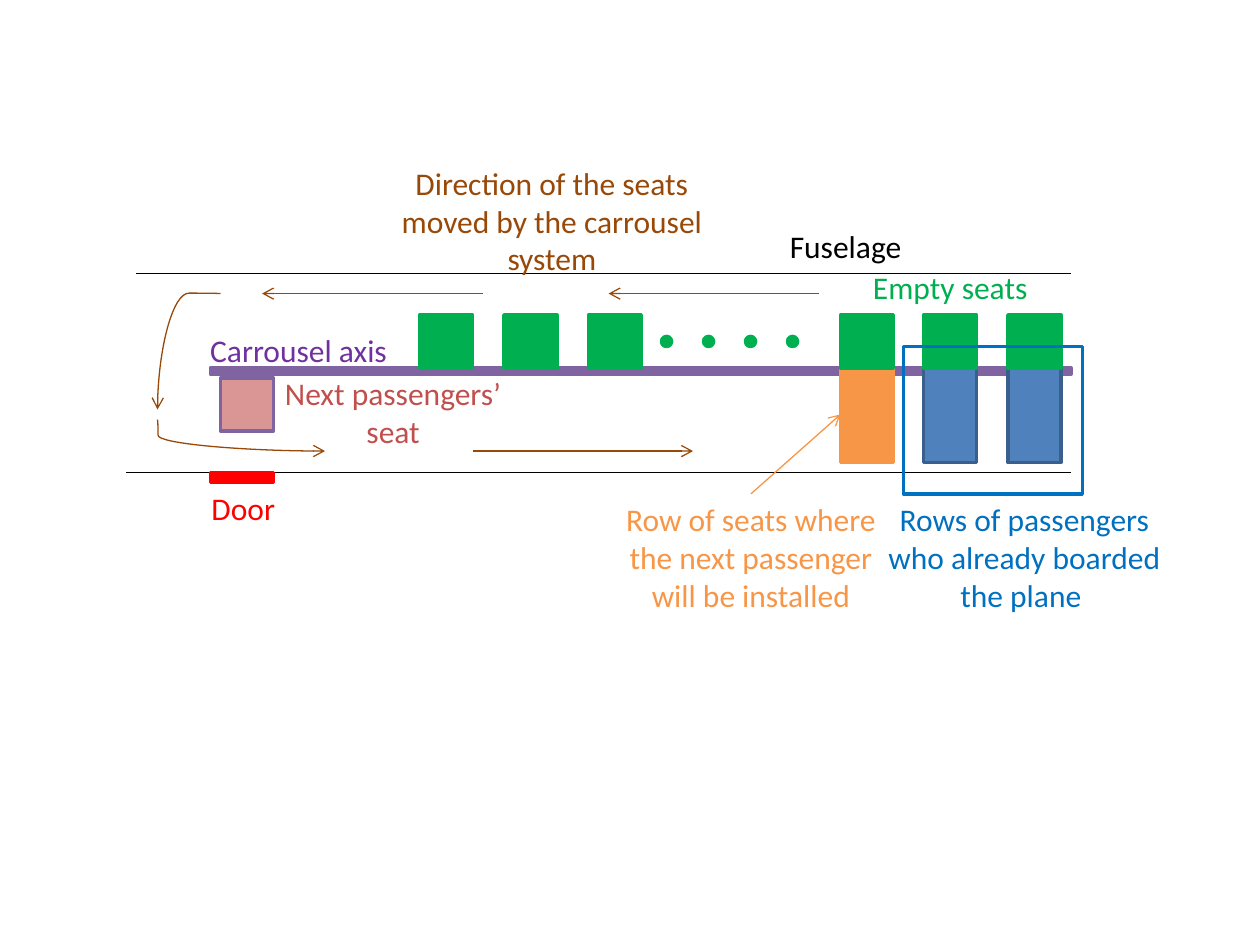
from typing import NamedTuple, Optional

from lxml import etree
from pptx import Presentation
from pptx.dml.color import RGBColor
from pptx.enum.shapes import MSO_CONNECTOR, MSO_SHAPE
from pptx.enum.text import MSO_AUTO_SIZE, PP_ALIGN
from pptx.oxml.ns import qn
from pptx.util import Inches, Pt

RECTANGLE, OVAL = MSO_SHAPE.RECTANGLE, MSO_SHAPE.OVAL
STRAIGHT, CURVE = MSO_CONNECTOR.STRAIGHT, MSO_CONNECTOR.CURVE
LEFT, CENTER = PP_ALIGN.LEFT, PP_ALIGN.CENTER
FIT_TEXT = MSO_AUTO_SIZE.SHAPE_TO_FIT_TEXT

BLACK = RGBColor(0x00, 0x00, 0x00)
PURPLE = RGBColor(0x80, 0x64, 0xA2)
VIOLET = RGBColor(0x70, 0x30, 0xA0)
ORANGE = RGBColor(0xF7, 0x96, 0x46)
BLUE = RGBColor(0x00, 0x70, 0xC0)
SEAT_BLUE = RGBColor(0x4F, 0x81, 0xBD)
SEAT_EDGE = RGBColor(0x3A, 0x5F, 0x8C)
BROWN = RGBColor(0x98, 0x48, 0x07)
RED = RGBColor(0xFF, 0x00, 0x00)
PINK = RGBColor(0xD9, 0x96, 0x94)
BRICK = RGBColor(0xC0, 0x50, 0x4D)
GREEN = RGBColor(0x00, 0xB0, 0x50)

SEAT = 0.42
SEAT_TOP, AXIS_TOP = 2.5, 2.92
ROW_HEIGHT = 0.75
DOT = 0.08
FRONT_SEATS = [3.33, 4, 4.67]
REAR_SEATS = [6.67, 7.33, 8]


class Block(NamedTuple):
    left: float
    top: float
    width: float
    height: float
    fill: Optional[RGBColor]
    line: RGBColor
    kind: MSO_SHAPE = RECTANGLE


class Label(NamedTuple):
    text: str
    left: float
    top: float
    width: float
    height: float
    color: RGBColor
    align: PP_ALIGN = CENTER


class Line(NamedTuple):
    x1: float
    y1: float
    x2: float
    y2: float
    color: RGBColor
    arrow: bool = True
    kind: MSO_CONNECTOR = STRAIGHT
    bend: int = 0  # position of the bend, in 1/100000 of the width
    turn: int = 0  # clockwise rotation in degrees


FUSELAGE = [
    Line(1.08, 2.17, 8.5, 2.17, BLACK, arrow=False),
    Line(1, 3.75, 8.5, 3.75, BLACK, arrow=False),
]
ARROWS = [
    Line(6.5, 2.33, 4.83, 2.33, BROWN),
    Line(3.83, 2.33, 2.08, 2.33, BROWN),
    Line(3.75, 3.58, 5.5, 3.58, BROWN),
    Line(5.96, 3.92, 6.67, 3.29, ORANGE),
    Line(1.04, 2.54, 1.96, 3.04, BROWN, kind=CURVE, bend=-400, turn=90),
    Line(1.25, 3.33, 2.58, 3.58, BROWN, kind=CURVE, bend=400),
]
BLOCKS = [
    # Carrousel axis, boarding rows, door and next seat
    Block(1.67, AXIS_TOP, 6.83, 0.05, PURPLE, PURPLE),
    Block(REAR_SEATS[0], AXIS_TOP, SEAT, ROW_HEIGHT, ORANGE, ORANGE),
    *(Block(left, AXIS_TOP, SEAT, ROW_HEIGHT, SEAT_BLUE, SEAT_EDGE)
      for left in REAR_SEATS[1:]),
    Block(1.67, 3.75, 0.5, 0.08, RED, RED),
    Block(1.75, 3, SEAT, SEAT, PINK, PURPLE),
    # Empty seats and the dots between them
    *(Block(left, SEAT_TOP, SEAT, SEAT, GREEN, GREEN)
      for left in FRONT_SEATS + REAR_SEATS),
    *(Block(5.25 + index / 3, 2.67, DOT, DOT, GREEN, GREEN, OVAL)
      for index in range(4)),
    # Frame around the boarded rows
    Block(7.17, 2.75, 1.42, 1.17, None, BLUE),
]
LABELS = [
    Label("Rows of passengers who already boarded the plane ",
          6.92, 3.92, 2.42, 1.01, BLUE),
    Label("Carrousel axis", 1.08, 2.58, 2.58, 0.4, VIOLET),
    Label("Direction of the seats moved by the carrousel system",
          2.92, 1.25, 2.92, 1.01, BROWN),
    Label("Fuselage", 6.17, 1.75, 3.33, 0.4, BLACK, LEFT),
    Label("Door", 1.58, 3.83, 2.08, 0.4, RED, LEFT),
    Label("Row of seats where the next passenger will be installed",
          4.75, 3.92, 2.42, 1.01, ORANGE),
    Label("Empty seats", 6.83, 2.08, 3.25, 0.4, GREEN, LEFT),
    Label("Next passengers’ seat", 2.08, 2.92, 2.08, 0.71, BRICK),
]


def add_block(page, block: Block) -> None:
    box = page.shapes.add_shape(
        block.kind, Inches(block.left), Inches(block.top),
        Inches(block.width), Inches(block.height))
    box.shadow.inherit = False
    if block.fill is None:
        box.fill.background()
    else:
        box.fill.solid()
        box.fill.fore_color.rgb = block.fill
    box.line.color.rgb = block.line
    box.line.width = Pt(2)


def add_line(page, line: Line) -> None:
    connector = page.shapes.add_connector(
        line.kind, Inches(line.x1), Inches(line.y1),
        Inches(line.x2), Inches(line.y2))
    connector.line.color.rgb = line.color
    connector.line.width = Pt(0.75)
    properties = connector._element.spPr
    etree.SubElement(properties, qn("a:effectLst"))
    if line.arrow:
        etree.SubElement(properties.find(qn("a:ln")), qn("a:tailEnd"), type="arrow")
    if line.kind == CURVE:
        guides = properties.find(qn("a:prstGeom")).find(qn("a:avLst"))
        etree.SubElement(guides, qn("a:gd"), name="adj1", fmla=f"val {line.bend}")
    if line.turn:
        properties.find(qn("a:xfrm")).set("rot", str(line.turn * 60000))


def add_label(page, label: Label) -> None:
    box = page.shapes.add_textbox(
        Inches(label.left), Inches(label.top),
        Inches(label.width), Inches(label.height))
    box.text_frame.word_wrap = True
    box.text_frame.auto_size = FIT_TEXT
    para = box.text_frame.paragraphs[0]
    para.alignment = label.align
    span = para.add_run()
    span.text = label.text
    for name, value in {"name": "Calibri", "size": Pt(18)}.items():
        setattr(span.font, name, value)
    span.font.color.rgb = label.color


def main() -> None:
    deck = Presentation()
    deck.slide_width, deck.slide_height = Inches(10), Inches(7.5)
    page = deck.slides.add_slide(deck.slide_layouts[6])
    for line in FUSELAGE:
        add_line(page, line)
    for block in BLOCKS:
        add_block(page, block)
    for label in LABELS:
        add_label(page, label)
    for line in ARROWS:
        add_line(page, line)
    deck.save("out.pptx")


if __name__ == "__main__":
    main()
